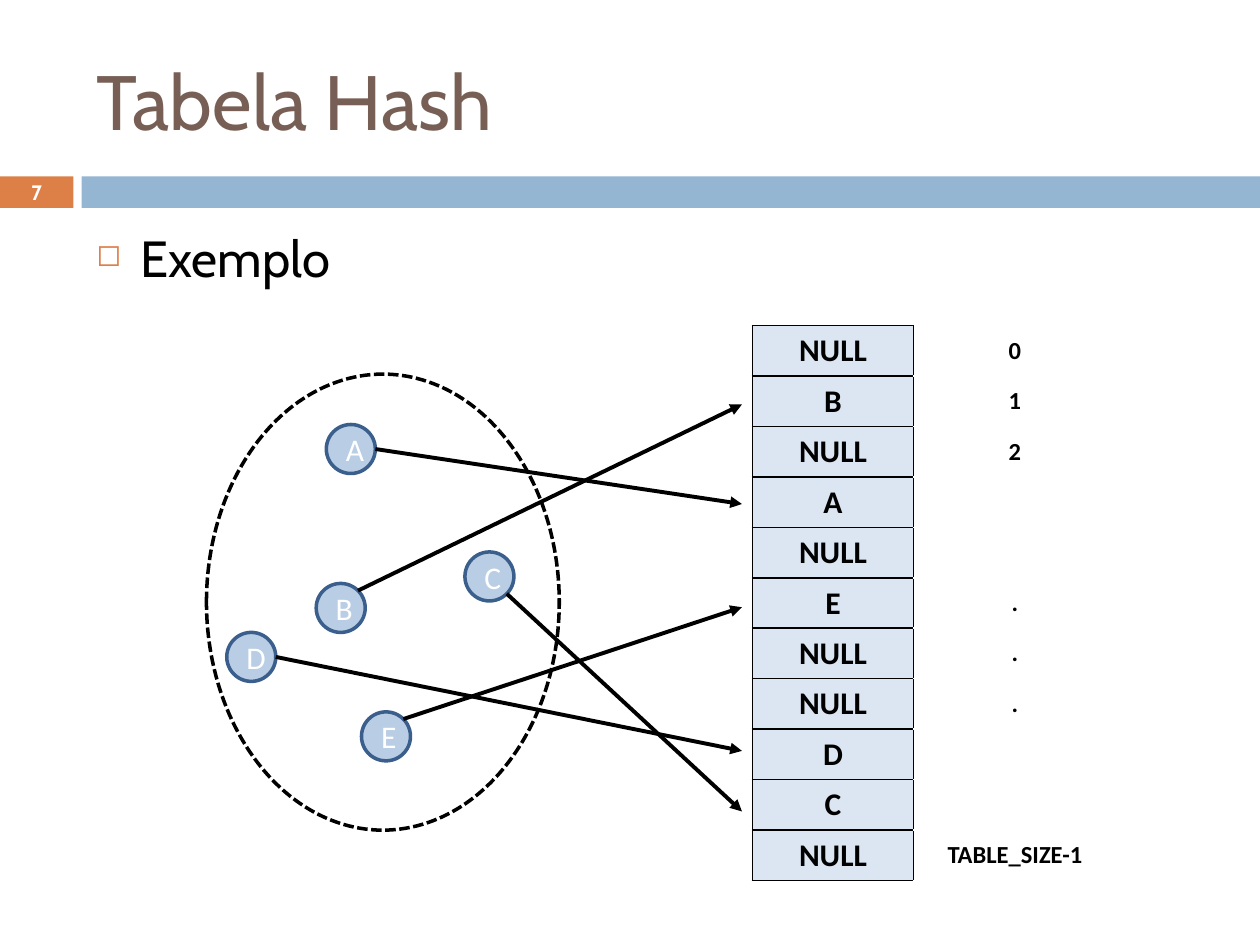
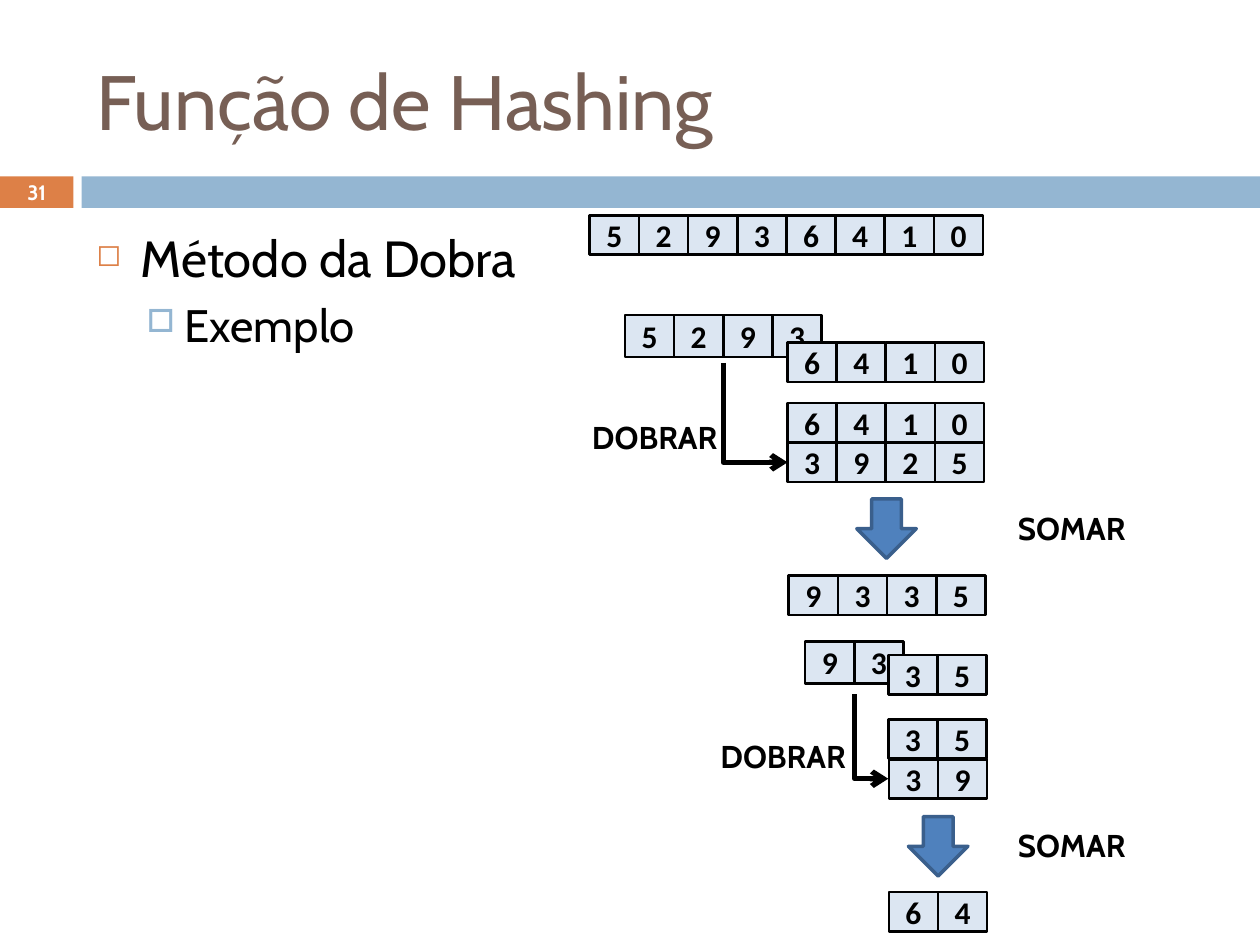
"""Build two lecture slides on hash tables and the folding method."""
from dataclasses import dataclass
from math import cos, radians, sin

from lxml import etree
from pptx import Presentation
from pptx.dml.color import RGBColor
from pptx.enum import dml, shapes, text
from pptx.oxml.ns import qn
from pptx.util import Pt

ORANGE = RGBColor(0xDD, 0x80, 0x47)
BAND = RGBColor(0x94, 0xB6, 0xD2)
BROWN = RGBColor(0x77, 0x5F, 0x55)
BLACK = RGBColor(0, 0, 0)
WHITE = RGBColor(0xFF, 0xFF, 0xFF)
PALE = RGBColor(0xDC, 0xE6, 0xF2)
NODE = RGBColor(0xB9, 0xCD, 0xE5)
BLUE = RGBColor(0x4F, 0x81, 0xBD)
NAVY = RGBColor(0x3A, 0x5F, 0x8C)
HEAD, BODY = "Cabin", "Calibri"
SHAPE = shapes.MSO_SHAPE
CENTER = text.PP_ALIGN.CENTER
MIDDLE = text.MSO_ANCHOR.MIDDLE
CELL_W, CELL_H, TALL_H = 28.1, 22.5, 24
RADIUS = 14


@dataclass
class Level:
    bullet: str
    color: RGBColor
    scale: int
    size: float
    margin: float
    hang: float
    before: float


@dataclass
class Node:
    label: str
    x: float
    y: float
    exit_angle: float
    target_y: float


@dataclass
class Strip:
    digits: str
    x: float
    y: float
    h: float = CELL_H


@dataclass
class Label:
    words: str
    x: float
    y: float
    w: float


LEVELS = [Level("◻", ORANGE, 60, 29, 25.2, 25.2, 0),
          Level("□", BAND, 70, 26, 50.4, 21.6, 5.5)]

NODES = [Node("B", 180.7, 333.4, -45, 231.1), Node("A", 186.5, 242.6, 0, 288),
         Node("C", 265.7, 315.4, 45, 463.7), Node("E", 206.6, 406.8, -45, 347),
         Node("D", 129.6, 361.4, 0, 429.1)]

SLOTS = [("NULL", "0"), ("B", "1"), ("NULL", "2"), ("A", ""), ("NULL", ""),
         ("E", "."), ("NULL", "."), ("NULL", "."), ("D", ""), ("C", ""),
         ("NULL", "TABLE_SIZE-1")]

STRIPS = [Strip("52936410", 337, 123.1), Strip("5293", 357.1, 180, TALL_H),
          Strip("6410", 450, 195.8), Strip("6410", 450, 230.4),
          Strip("3925", 450, 252.9), Strip("9335", 450.7, 329),
          Strip("93", 460.1, 366.5, TALL_H), Strip("35", 507.6, 374.4),
          Strip("35", 507.6, 411.1), Strip("39", 507.9, 434),
          Strip("64", 507.9, 509.8)]

LABELS = [Label("DOBRAR", 331.2, 235.4, 164), Label("DOBRAR", 404.6, 417.6, 164),
          Label("SOMAR", 574.6, 287.3, 130), Label("SOMAR", 574.6, 468.7, 130)]

SUM_ARROWS = [(489.6, 285.1), (519.1, 466.6)]
FOLDS = [((413.3, 207.4), (450, 264.2)), ((488.2, 396.7), (507.6, 445))]


def write(p, words: str, *, size: float, font: str = BODY, color: RGBColor = BLACK,
          bold: bool = False, align=None) -> None:
    """Add a formatted run to a paragraph."""
    p.alignment = align
    r = p.add_run()
    r.text = words
    r.font.size, r.font.name, r.font.bold = Pt(size), font, bold
    r.font.color.rgb = color


def add_box(s, kind, x: float, y: float, w: float, h: float, *,
            fill: RGBColor | None = None, line: RGBColor | None = None,
            width: float = 2):
    """Draw a preset shape without a shadow."""
    sp = s.shapes.add_shape(kind, Pt(x), Pt(y), Pt(w), Pt(h))
    sp.shadow.inherit = False
    if fill is None:
        sp.fill.background()
    else:
        sp.fill.solid()
        sp.fill.fore_color.rgb = fill
    if line is None:
        sp.line.fill.background()
    else:
        sp.line.color.rgb = line
        sp.line.width = Pt(width)
    return sp


def add_text(s, x: float, y: float, w: float, h: float):
    """Add a wrapping text box and return its text frame."""
    tf = s.shapes.add_textbox(Pt(x), Pt(y), Pt(w), Pt(h)).text_frame
    tf.word_wrap = True
    return tf


def add_arrow(s, kind, x1: float, y1: float, x2: float, y2: float, *,
              width: float, head: str):
    """Draw a black connector with an arrowhead at its end."""
    cxn = s.shapes.add_connector(kind, Pt(x1), Pt(y1), Pt(x2), Pt(y2))
    cxn.line.color.rgb = BLACK
    cxn.line.width = Pt(width)
    etree.SubElement(cxn.line._get_or_add_ln(), qn("a:tailEnd"), type=head)
    etree.SubElement(cxn.element.spPr, qn("a:effectLst"))
    return cxn


def add_fold(s, start: tuple[float, float], end: tuple[float, float]) -> None:
    """Draw an arrow that goes down and then right."""
    (x1, y1), (x2, y2) = start, end
    mx, my, dx, dy = (x1 + x2) / 2, (y1 + y2) / 2, (x2 - x1) / 2, (y2 - y1) / 2
    cxn = add_arrow(s, shapes.MSO_CONNECTOR.ELBOW, mx - dy, my - dx, mx + dy, my + dx,
                    width=3, head="arrow")
    sp_pr = cxn.element.spPr
    sp_pr.find(qn("a:prstGeom")).set("prst", "bentConnector2")
    xfrm = sp_pr.find(qn("a:xfrm"))
    xfrm.set("rot", str(270 * 60000))
    xfrm.set("flipH", "1")


def add_bullet(p, level: Level) -> None:
    """Give a paragraph the bullet, indent and spacing of its level."""
    p.space_before = Pt(level.before)
    p_pr = p._p.get_or_add_pPr()
    p_pr.set("marL", str(Pt(level.margin)))
    p_pr.set("indent", str(-Pt(level.hang)))
    color = etree.SubElement(p_pr, qn("a:buClr"))
    etree.SubElement(color, qn("a:srgbClr"), val=str(level.color))
    etree.SubElement(p_pr, qn("a:buSzPct"), val=str(level.scale * 1000))
    etree.SubElement(p_pr, qn("a:buChar"), char=level.bullet)


def add_slide(prs, title: str, number: str, bullets: list[str]):
    """Add a slide with its title, bands, number and outline."""
    s = prs.slides.add_slide(prs.slide_layouts[5])
    add_box(s, SHAPE.RECTANGLE, 0, 100.8, 42, 18, fill=ORANGE)
    add_box(s, SHAPE.RECTANGLE, 46.6, 100.8, 673.4, 18, fill=BAND)
    ph = s.shapes.title
    ph.left, ph.top, ph.width, ph.height = Pt(48), Pt(18), Pt(642), Pt(78)
    tf = ph.text_frame
    tf.vertical_anchor = MIDDLE
    tf.auto_size = text.MSO_AUTO_SIZE.NONE
    write(tf.paragraphs[0], title, size=44, font=HEAD, color=BROWN,
          align=text.PP_ALIGN.LEFT)
    tf = add_text(s, 0, 100, 42, 19.5)
    tf.vertical_anchor = MIDDLE
    write(tf.paragraphs[0], number, size=11.9, font=HEAD, color=WHITE, bold=True,
          align=CENTER)
    tf = add_text(s, 48, 126, 642, 354)
    for i, (words, level) in enumerate(zip(bullets, LEVELS)):
        p = tf.add_paragraph() if i else tf.paragraphs[0]
        add_bullet(p, level)
        write(p, words, size=level.size, font=HEAD)
    return s


def format_cell(cell, words: str, *, size: float, fill: RGBColor, sides: str) -> None:
    """Fill a table cell, write its text and rule the given sides."""
    tc_pr = cell._tc.get_or_add_tcPr()
    for side in sides:
        ln = etree.SubElement(tc_pr, qn(f"a:ln{side}"), w=str(Pt(1)))
        solid = etree.SubElement(ln, qn("a:solidFill"))
        etree.SubElement(solid, qn("a:srgbClr"), val=str(BLACK))
    cell.fill.solid()
    cell.fill.fore_color.rgb = fill
    if words:
        write(cell.text_frame.paragraphs[0], words, size=size, bold=True, align=CENTER)


def add_hash_table(s) -> None:
    """Draw the slots of the hash table beside their indexes."""
    row_h = 28.8
    table = s.shapes.add_table(len(SLOTS), 2, Pt(430), Pt(186), Pt(208),
                               Pt(row_h * len(SLOTS))).table
    table.first_row = table.horz_banding = False
    table.columns[0].width, table.columns[1].width = Pt(92), Pt(116)
    for row, (key, index) in zip(table.rows, SLOTS):
        row.height = Pt(row_h)
        slot, side = row.cells
        format_cell(slot, key, size=18, fill=PALE, sides="LRTB")
        format_cell(side, index, size=14, fill=WHITE, sides="L")
        side.vertical_anchor = MIDDLE


def build_table_slide(prs) -> None:
    """Show keys of a set sent to slots of the table."""
    s = add_slide(prs, "Tabela Hash", "7", ["Exemplo"])
    add_hash_table(s)
    for n in NODES:
        sp = add_box(s, SHAPE.OVAL, n.x, n.y, 2 * RADIUS, 2 * RADIUS, fill=NODE, line=NAVY)
        write(sp.text_frame.paragraphs[0], n.label, size=18, color=WHITE, align=CENTER)
    for n in NODES:
        angle = radians(n.exit_angle)
        add_arrow(s, shapes.MSO_CONNECTOR.STRAIGHT, n.x + RADIUS * (1 + cos(angle)),
                  n.y + RADIUS * (1 + sin(angle)), 424, n.target_y,
                  width=2.25, head="triangle")
    key_set = add_box(s, SHAPE.OVAL, 118, 213.8, 201.6, 260.6, line=BLACK)
    key_set.line.dash_style = dml.MSO_LINE.SQUARE_DOT
    key_set.line._get_or_add_ln().find(qn("a:prstDash")).set("val", "sysDash")


def build_folding_slide(prs) -> None:
    """Show a number folded and summed twice."""
    s = add_slide(prs, "Função de Hashing", "31", ["Método da Dobra", "Exemplo"])
    for strip in STRIPS:
        for i, digit in enumerate(strip.digits):
            sp = add_box(s, SHAPE.RECTANGLE, strip.x + i * CELL_W, strip.y, CELL_W,
                         strip.h, fill=PALE, line=BLACK, width=1.5)
            write(sp.text_frame.paragraphs[0], digit, size=18, bold=True, align=CENTER)
    for label in LABELS:
        tf = add_text(s, label.x, label.y, label.w, 29)
        write(tf.paragraphs[0], label.words, size=18, font=HEAD, bold=True)
    for x, y in SUM_ARROWS:
        add_box(s, SHAPE.DOWN_ARROW, x, y, 34, 34, fill=BLUE, line=NAVY)
    for start, end in FOLDS:
        add_fold(s, start, end)


def main() -> None:
    """Build and save the presentation."""
    prs = Presentation()
    prs.slide_width, prs.slide_height = Pt(720), Pt(540)
    build_table_slide(prs)
    build_folding_slide(prs)
    prs.save("out.pptx")


if __name__ == "__main__":
    main()
